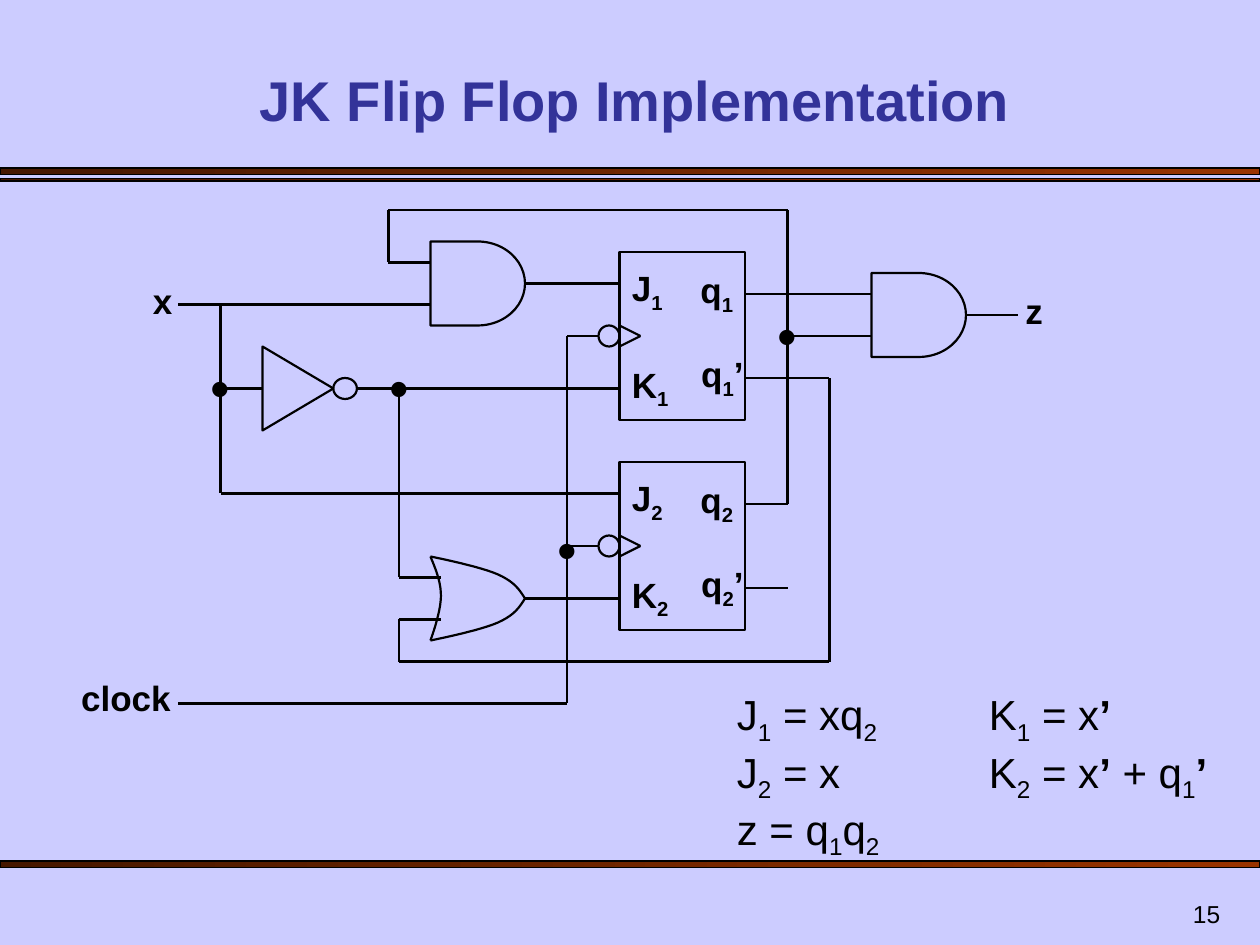
from itertools import pairwise

from lxml import etree
from pptx import Presentation
from pptx.dml.color import RGBColor
from pptx.enum.shapes import MSO_CONNECTOR, MSO_SHAPE
from pptx.enum.text import MSO_ANCHOR, PP_ALIGN
from pptx.oxml.ns import qn
from pptx.util import Cm, Pt

STRAIGHT = MSO_CONNECTOR.STRAIGHT
RECTANGLE, OVAL, DELAY = MSO_SHAPE.RECTANGLE, MSO_SHAPE.OVAL, MSO_SHAPE.FLOWCHART_DELAY
TOP, BOTTOM = MSO_ANCHOR.TOP, MSO_ANCHOR.BOTTOM
LEFT, CENTER, RIGHT = PP_ALIGN.LEFT, PP_ALIGN.CENTER, PP_ALIGN.RIGHT

LAVENDER = RGBColor(0xCC, 0xCC, 0xFF)
INDIGO = RGBColor(0x33, 0x33, 0x99)
BLACK = RGBColor(0, 0, 0)
RUST = RGBColor(0x99, 0x33, 0x00)
DARK_RUST = RGBColor(0x46, 0x17, 0x00)

# Text formats
TITLE = {"name": "Arial", "size": Pt(32), "bold": True, "color": INDIGO}
LABEL = {"name": "Arial", "size": Pt(20), "bold": True, "color": BLACK}
DOT = {"name": "Arial", "size": Pt(32), "bold": False, "color": BLACK}
EQUATION = {"name": "Arial", "size": Pt(24), "bold": False, "color": BLACK}
NUMBER = {"name": "Arial", "size": Pt(14), "bold": False, "color": BLACK}

# Every position is counted in steps of a twelfth of an inch
STEP = 2.54 / 12
WIRES = [
    [(17, 29), (41, 29)],                                          # x
    [(21, 29), (21, 47), (59, 47)],                                # x to J2
    [(21, 37), (25, 37)],                                          # x to inverter
    [(34, 37), (59, 37)],                                          # x' to K1
    [(38, 37), (38, 55), (42, 55)],                                # x' to OR
    [(17, 67), (54, 67), (54, 32), (57, 32)],                      # clock
    [(54, 52), (57, 52)],
    [(71, 28), (83, 28)],                                          # q1
    [(71, 36), (79, 36), (79, 63), (38, 63), (38, 59), (42, 59)],  # q1'
    [(71, 48), (75, 48), (75, 20), (37, 20), (37, 25), (41, 25)],  # q2
    [(75, 32), (83, 32)],
    [(71, 56), (75, 56)],                                          # q2'
    [(50, 57), (59, 57)],                                          # OR to K2
]
DOTS = [(71, 28), (50, 48.4), (17, 33), (34, 33)]
EQUATIONS = ["J_1 = xq_2\tK_1 = x’", "J_2 = x\tK_2 = x’ + q_1’", "z = q_1q_2"]


def grid(*steps):
    return [Cm(step * STEP) for step in steps]


def add_span(para, text, style, subscript=False):
    span = para.add_run()
    span.text = text
    for name, value in style.items():
        if name == "color":
            span.font.color.rgb = value
        else:
            setattr(span.font, name, value)
    if subscript:
        span.font._element.set("baseline", "-25000")


def add_formula(para, markup, style):
    """An underscore lowers the next character; primes are bold."""
    first, *others = markup.split("_")
    pieces = [(first, False)]
    for other in others:
        pieces += [(other[0], True), (other[1:], False)]
    for text, subscript in pieces:
        for index, plain in enumerate(text.split("’")):
            if index:
                add_span(para, "’", style | {"bold": True})
            if plain:
                add_span(para, plain, style, subscript)


def add_text(shapes, place, lines, style, align=CENTER, anchor=TOP, tab=None):
    box = shapes.add_textbox(*grid(*place))
    frame = box.text_frame
    frame.word_wrap = True
    frame.vertical_anchor = anchor
    para = frame.paragraphs[0]
    para.alignment = align
    if tab:
        stops = etree.SubElement(para._p.get_or_add_pPr(), qn("a:tabLst"))
        etree.SubElement(stops, qn("a:tab"), pos=str(tab), algn="l")
    for index, line in enumerate(lines):
        if index:
            para.add_line_break()
        add_formula(para, line, style)


def outline(shape, width=1.25, fill=None):
    shape.shadow.inherit = False
    shape.line.color.rgb = BLACK
    shape.line.width = Pt(width)
    if fill is None:
        shape.fill.background()
    else:
        shape.fill.solid()
        shape.fill.fore_color.rgb = fill
    return shape


def add_part(shapes, kind, place, fill=None):
    return outline(shapes.add_shape(kind, *grid(*place)), fill=fill)


def add_bar(shapes, top, height):
    bar = outline(shapes.add_shape(RECTANGLE, *grid(0, top, 120, height)), 0.75)
    bar.fill.gradient()
    bar.fill.gradient_angle = 180
    for stop, color in zip(bar.fill.gradient_stops, (RUST, DARK_RUST)):
        stop.color.rgb = color


def add_line(shapes, start, end):
    line = shapes.add_connector(STRAIGHT, *grid(*start, *end))
    line.line.color.rgb = BLACK
    line.line.width = Pt(1.25)
    etree.SubElement(line._element.spPr, qn("a:effectLst"))
    return line


def add_outline(shapes, points, close=False, fill=None):
    start, *others = [grid(*point) for point in points]
    builder = shapes.build_freeform(*start)
    builder.add_line_segments(others, close=close)
    return outline(builder.convert_to_shape(), fill=fill)


def curve(points, pieces=10):
    """Points along joined cubic curves that share their end points."""
    result = [points[0]]
    for first in range(0, len(points) - 1, 3):
        for piece in range(1, pieces + 1):
            t = piece / pieces
            weights = ((1 - t) ** 3, 3 * t * (1 - t) ** 2, 3 * t * t * (1 - t), t ** 3)
            controls = points[first:first + 4]
            result.append(tuple(sum(weight * point[axis] for weight, point
                                    in zip(weights, controls)) for axis in (0, 1)))
    return result


def add_and_gate(shapes, left, top, output_end):
    gate = add_part(shapes, DELAY, (left, top, 9, 8))
    middle = top + 4
    output = add_line(shapes, (left + 9, middle), (output_end, middle))
    output.begin_connect(gate, 3)


def add_or_gate(shapes):
    back = [(41, 53), (41.5, 54.2), (42, 55.4), (42, 56.75),
            (42, 58.1), (41.3, 60.2), (41, 61)]
    upper = [(41, 53), (43.4, 53.5), (46, 54.1), (47.4, 54.7),
             (49, 55.4), (49.5, 56.2), (50, 57)]
    lower = [(x, 114 - y) for x, y in upper]
    for side in (back, upper, lower):
        add_outline(shapes, curve(side))


def add_inverter(shapes):
    add_part(shapes, OVAL, (31.75, 36, 2.25, 2), LAVENDER)
    add_outline(shapes, [(25, 33), (25, 41), (31.75, 37)], True, LAVENDER)


def add_flip_flop(page, top, number):
    shapes = page.shapes.add_group_shape().shapes
    add_part(shapes, RECTANGLE, (59, top, 12, 16))
    for edge in (9, 7):
        add_line(shapes, (59, top + edge), (61, top + 8))
    for name, left, drop, width, align in [
            (f"J_{number}", 59, 0.8, 8, LEFT), (f"q_{number}", 62, 1, 9, RIGHT),
            (f"q_{number}’", 62, 9, 10, RIGHT), (f"K_{number}", 59, 10, 8, LEFT)]:
        add_text(shapes, (left, top + drop, width, 5.8), [name], LABEL, align)
    add_part(page.shapes, OVAL, (57, top + 7, 2, 2))


def main():
    deck = Presentation()
    deck.slide_width, deck.slide_height = Cm(25.4), Cm(19.05)
    page = deck.slides.add_slide(deck.slide_layouts[6])
    page.background.fill.solid()
    page.background.fill.fore_color.rgb = LAVENDER
    shapes = page.shapes

    # Frame of the page
    for top, height in [(16, 0.6), (17, 0.24), (82, 0.6)]:
        add_bar(shapes, top, height)
    add_text(shapes, (7, 5, 107, 8.2), ["JK Flip Flop Implementation"], TITLE, anchor=BOTTOM)
    add_text(shapes, (92.4, 84, 25, 5), ["15"], NUMBER, RIGHT, BOTTOM)

    # Circuit
    for wire in WIRES:
        for start, end in pairwise(wire):
            add_line(shapes, start, end)
    add_and_gate(shapes, 41, 23, 59)
    add_and_gate(shapes, 83, 26, 97)
    add_or_gate(shapes.add_group_shape().shapes)
    add_inverter(shapes.add_group_shape().shapes)
    add_flip_flop(page, 24, 1)
    add_flip_flop(page, 44, 2)
    for left, top in DOTS:
        add_text(shapes, (left, top, 8, 7.7), ["•"], DOT)

    # Inputs, output and equations
    for name, left, top, width in [("x", 13, 26, 5), ("clock", 6, 63.8, 12), ("z", 96, 27, 5)]:
        add_text(shapes, (left, top, width, 5.3), [name], LABEL)
    add_text(shapes, (69, 65, 48, 17.6), EQUATIONS, EQUATION, LEFT, tab=Cm(5.08))

    deck.save("out.pptx")


if __name__ == "__main__":
    main()
